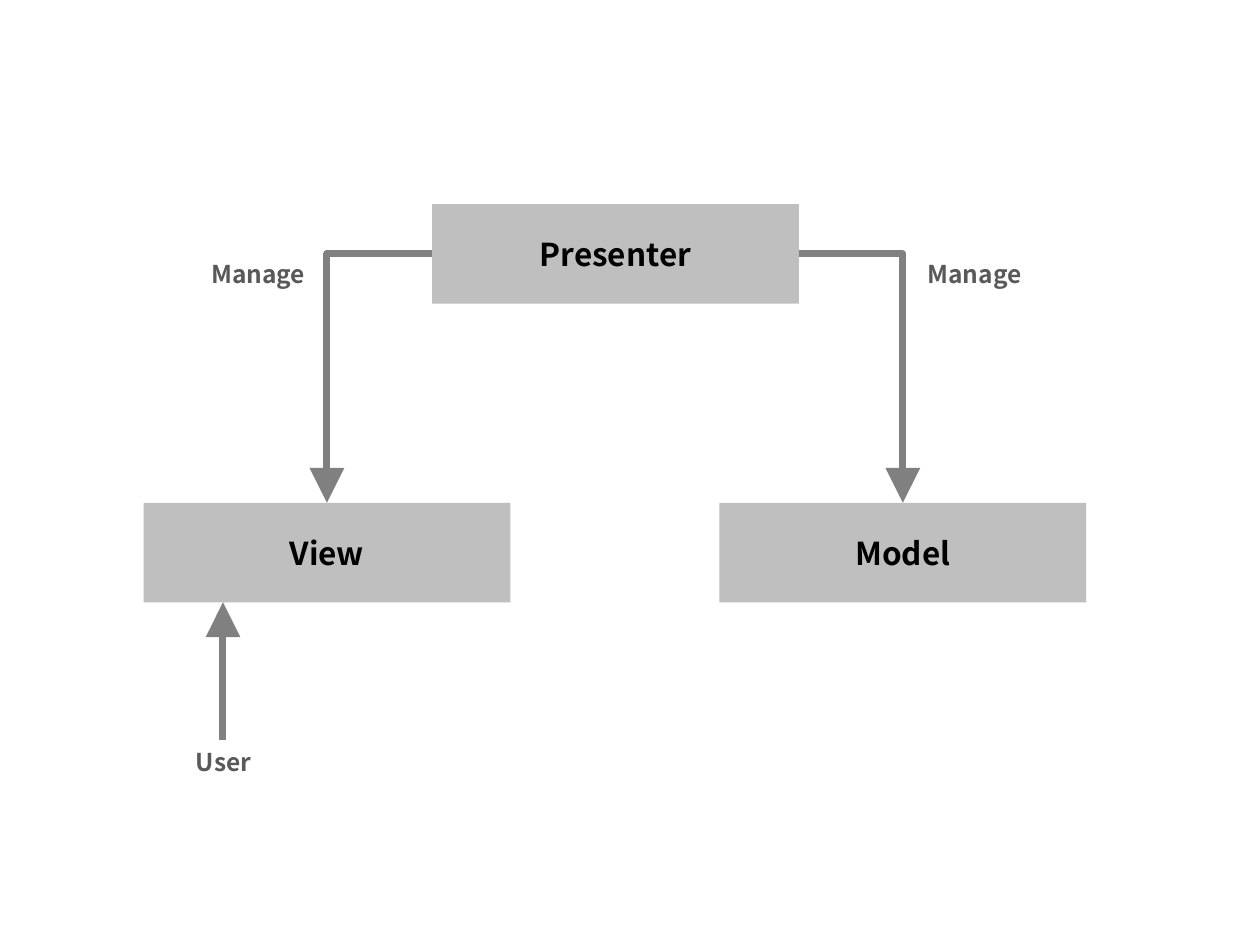
from lxml.etree import SubElement
from pptx import Presentation
from pptx.dml.color import RGBColor
from pptx.enum.shapes import MSO_CONNECTOR, MSO_SHAPE
from pptx.enum.text import MSO_ANCHOR, MSO_AUTO_SIZE, PP_ALIGN
from pptx.oxml.ns import qn
from pptx.util import Inches, Pt

BOX_FILL = RGBColor(0xBF, 0xBF, 0xBF)
BOX_TEXT = RGBColor(0, 0, 0)
LABEL_TEXT = RGBColor(0x59, 0x59, 0x59)
ARROW = RGBColor(0x80, 0x80, 0x80)
FONT = "Noto Sans CJK KR"
BOX_W, BOX_H = 2.91, 0.79


def write(tf, text, size, color):
    p = tf.paragraphs[0]
    p.alignment = PP_ALIGN.CENTER
    r = p.add_run()
    r.text = text
    for name, value in {"name": FONT, "size": Pt(size), "bold": True}.items():
        setattr(r.font, name, value)
    r.font.color.rgb = color


def style_arrow(c):
    c.line.color.rgb = ARROW
    c.line.width = Pt(4)
    SubElement(c.line._get_or_add_ln(), qn("a:tailEnd"), type="triangle", w="lg", len="lg")
    SubElement(c._element.spPr, qn("a:effectLst"))


prs = Presentation()
prs.slide_width, prs.slide_height = Inches(10), Inches(7.5)
s = prs.slides.add_slide(prs.slide_layouts[6])

boxes = {}
for name, x, y in [("Presenter", 3.43, 1.62), ("View", 1.14, 3.99), ("Model", 5.71, 3.99)]:
    sp = s.shapes.add_shape(MSO_SHAPE.RECTANGLE, Inches(x), Inches(y), Inches(BOX_W), Inches(BOX_H))
    sp.shadow.inherit = False
    sp.fill.solid()
    sp.fill.fore_color.rgb = BOX_FILL
    sp.line.fill.background()
    sp.text_frame.vertical_anchor = MSO_ANCHOR.MIDDLE
    write(sp.text_frame, name, 18, BOX_TEXT)
    boxes[name] = sp

presenter, view = boxes["Presenter"], boxes["View"]
side_y = presenter.top + presenter.height // 2
for name, side_x, site in [
    ("View", presenter.left, 1),
    ("Model", presenter.left + presenter.width, 3),
]:
    target = boxes[name]
    c = s.shapes.add_connector(
        MSO_CONNECTOR.ELBOW, side_x, side_y, target.left + target.width // 2, target.top
    )
    c._element.spPr.find(qn("a:prstGeom")).set("prst", "bentConnector2")
    c.begin_connect(presenter, site)
    c.end_connect(target, 0)
    style_arrow(c)

c = s.shapes.add_connector(
    MSO_CONNECTOR.STRAIGHT, Inches(1.77), Inches(5.87), Inches(1.77), view.top + view.height
)
style_arrow(c)

for text, x, y, w in [("Manage", 1.53, 2.01, 1.04), ("Manage", 7.2, 2.01, 1.07), ("User", 1.27, 5.88, 1.01)]:
    tf = s.shapes.add_textbox(Inches(x), Inches(y), Inches(w), Inches(0.34)).text_frame
    for name, value in {"word_wrap": True, "auto_size": MSO_AUTO_SIZE.SHAPE_TO_FIT_TEXT}.items():
        setattr(tf, name, value)
    write(tf, text, 14, LABEL_TEXT)

prs.save("out.pptx")
